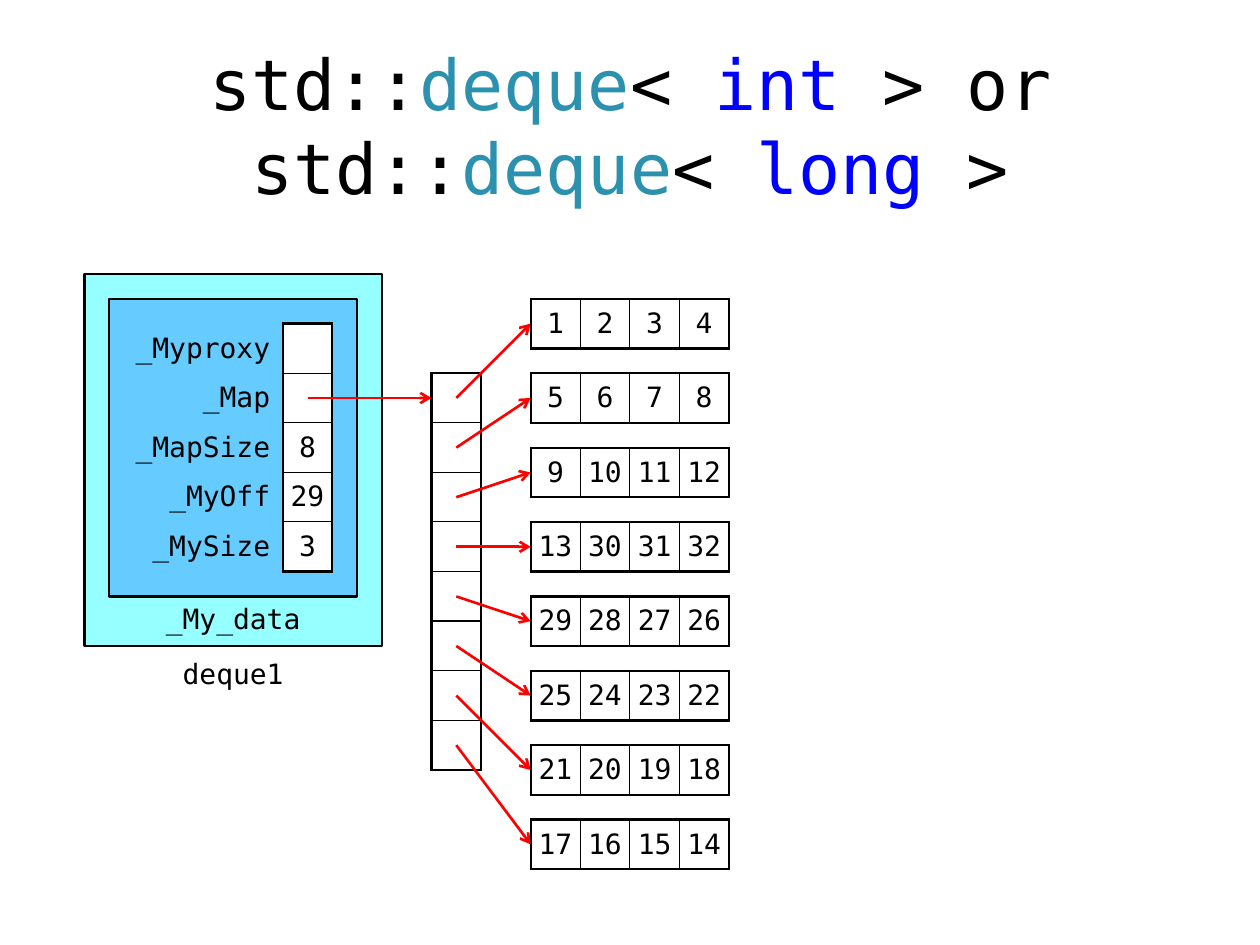
from lxml import etree
from pptx import Presentation
from pptx.dml.color import RGBColor
from pptx.enum.shapes import MSO_CONNECTOR, MSO_SHAPE
from pptx.enum.text import MSO_ANCHOR, PP_ALIGN
from pptx.oxml.ns import qn
from pptx.util import Pt

BLACK = RGBColor(0x00, 0x00, 0x00)
WHITE = RGBColor(0xFF, 0xFF, 0xFF)
RED = RGBColor(0xFF, 0x00, 0x00)
KEYWORD_BLUE = RGBColor(0x00, 0x00, 0xFF)
TYPE_TEAL = RGBColor(0x2B, 0x91, 0xAF)
PALE_CYAN = RGBColor(0x96, 0xFF, 0xFF)
SKY_BLUE = RGBColor(0x66, 0xCC, 0xFF)

PROCESS = MSO_SHAPE.FLOWCHART_PROCESS
STRAIGHT = MSO_CONNECTOR.STRAIGHT
TOP, MIDDLE = MSO_ANCHOR.TOP, MSO_ANCHOR.MIDDLE
CENTER, RIGHT = PP_ALIGN.CENTER, PP_ALIGN.RIGHT

# The diagram lies on a grid whose step is half a memory cell.
STEP = 14.17
GRID_LEFT, GRID_TOP = 48.2, 156.6
CELL = 2
THICK, THIN = 1.5, 0.75

TITLE = [
    ("std::", BLACK), ("deque", TYPE_TEAL), ("< ", BLACK), ("int ", KEYWORD_BLUE),
    ("> or std::", BLACK), ("deque", TYPE_TEAL), ("< ", BLACK),
    ("long ", KEYWORD_BLUE), (">", BLACK),
]
FIELDS = [("_Myproxy", ""), ("_Map", ""), ("_MapSize", "8"), ("_MyOff", "29"), ("_MySize", "3")]
BLOCKS = [
    (1, 2, 3, 4), (5, 6, 7, 8), (9, 10, 11, 12), (13, 30, 31, 32),
    (29, 28, 27, 26), (25, 24, 23, 22), (21, 20, 19, 18), (17, 16, 15, 14),
]
FIELDS_COL, FIELDS_ROW, LABEL_WIDTH = 1, 2, 7
MAP_COL, MAP_ROW = 14, 4
BLOCK_COL, BLOCK_ROW, BLOCK_PITCH = 18, 1, 3


def x(col):
    return Pt(GRID_LEFT + col * STEP)


def y(row):
    return Pt(GRID_TOP + row * STEP)


def span(steps):
    return Pt(steps * STEP)


def set_border(cell, side, width):
    """Draw one side (L, R, T or B) of a cell in black, or hide it if width is 0."""
    line = etree.SubElement(cell._tc.get_or_add_tcPr(), qn(f"a:ln{side}"), w=str(Pt(width)))
    if width:
        solid = etree.SubElement(line, qn("a:solidFill"))
        etree.SubElement(solid, qn("a:srgbClr"), val=str(BLACK))
    else:
        etree.SubElement(line, qn("a:noFill"))


class Diagram:
    font_name = "DejaVu Sans Mono"
    font_size = 16

    def __init__(self, slide):
        self.slide = slide
        self.shapes = slide.shapes

    def style(self, font, color=BLACK, size=font_size):
        font.name = self.font_name
        font.size = Pt(size)
        font.color.rgb = color

    def title(self, pieces):
        frame = self.shapes.add_textbox(Pt(20), Pt(28.8), Pt(680), Pt(85)).text_frame
        frame.word_wrap = True
        frame.vertical_anchor = MIDDLE
        line = frame.paragraphs[0]
        line.alignment = CENTER
        for text, color in pieces:
            run = line.add_run()
            run.text = text
            self.style(run.font, color, 40)

    def box(self, col, row, width, height, color):
        box = self.shapes.add_shape(PROCESS, x(col), y(row), span(width), span(height))
        box.shadow.inherit = False
        box.fill.solid()
        box.fill.fore_color.rgb = color
        box.line.color.rgb = BLACK
        box.line.width = Pt(THICK)

    def caption(self, text, col, row, anchor):
        frame = self.shapes.add_textbox(x(col), y(row), span(6), span(CELL)).text_frame
        frame.word_wrap = True
        frame.vertical_anchor = anchor
        frame.margin_left = frame.margin_right = frame.margin_top = Pt(2.88)
        frame.margin_bottom = 0
        frame.text = text
        frame.paragraphs[0].alignment = CENTER
        self.style(frame.paragraphs[0].runs[0].font)

    def memory(self, rows, col, row, label_width=0):
        """Draw a table of memory cells; label_width adds a first column of plain labels."""
        widths = [CELL] * len(rows[0])
        if label_width:
            widths[0] = label_width
        table = self.shapes.add_table(
            len(rows), len(widths), x(col), y(row), span(sum(widths)), span(CELL * len(rows))
        ).table
        table.first_row = table.horz_banding = False
        for column, width in zip(table.columns, widths):
            column.width = span(width)
        first, last = (1 if label_width else 0), len(widths) - 1
        for r, values in enumerate(rows):
            table.rows[r].height = span(CELL)
            for c, value in enumerate(values):
                cell = table.cell(r, c)
                is_label = c < first
                if is_label:
                    borders = {"L": 0, "R": THICK, "T": 0, "B": 0}
                else:
                    borders = {
                        "L": THICK if c == first else THIN,
                        "R": THICK if c == last else THIN,
                        "T": THICK if r == 0 else THIN,
                        "B": THICK if r == len(rows) - 1 else THIN,
                    }
                for side, width in borders.items():
                    set_border(cell, side, width)
                self.fill_cell(cell, str(value), is_label)

    def fill_cell(self, cell, text, is_label):
        if is_label:
            cell.fill.background()
        else:
            cell.fill.solid()
            cell.fill.fore_color.rgb = WHITE
        cell.vertical_anchor = MIDDLE
        cell.margin_top = cell.margin_bottom = Pt(2.88)
        cell.margin_left = cell.margin_right = Pt(7.2 if is_label else 2.88)
        cell.text = text
        line = cell.text_frame.paragraphs[0]
        line.alignment = RIGHT if is_label else CENTER
        self.style(line.font)
        for run in line.runs:
            self.style(run.font)

    def pointer(self, col, row, to_col, to_row):
        pointer = self.shapes.add_connector(STRAIGHT, x(col), y(row), x(to_col), y(to_row))
        pointer.line.color.rgb = RED
        pointer.line.width = Pt(1.5)
        etree.SubElement(pointer.line._get_or_add_ln(), qn("a:tailEnd"), type="arrow")
        etree.SubElement(pointer._element.spPr, qn("a:effectLst"))


def main():
    deck = Presentation()
    deck.slide_width, deck.slide_height = Pt(720), Pt(540)
    diagram = Diagram(deck.slides.add_slide(deck.slide_layouts[6]))

    diagram.title(TITLE)
    diagram.box(0, 0, 12, 15, PALE_CYAN)
    diagram.box(1, 1, 10, 12, SKY_BLUE)
    diagram.caption("deque1", 3, 15, MIDDLE)
    diagram.caption("_My_data", 3, 13, TOP)

    diagram.memory(FIELDS, FIELDS_COL, FIELDS_ROW, LABEL_WIDTH)
    diagram.memory([("",)] * len(BLOCKS), MAP_COL, MAP_ROW)
    diagram.pointer(FIELDS_COL + LABEL_WIDTH + 1, MAP_ROW + 1, MAP_COL, MAP_ROW + 1)
    for i, block in enumerate(BLOCKS):
        block_row = BLOCK_ROW + i * BLOCK_PITCH
        diagram.memory([block], BLOCK_COL, block_row)
        diagram.pointer(MAP_COL + 1, MAP_ROW + 1 + i * CELL, BLOCK_COL, block_row + 1)

    deck.save("out.pptx")


if __name__ == "__main__":
    main()
